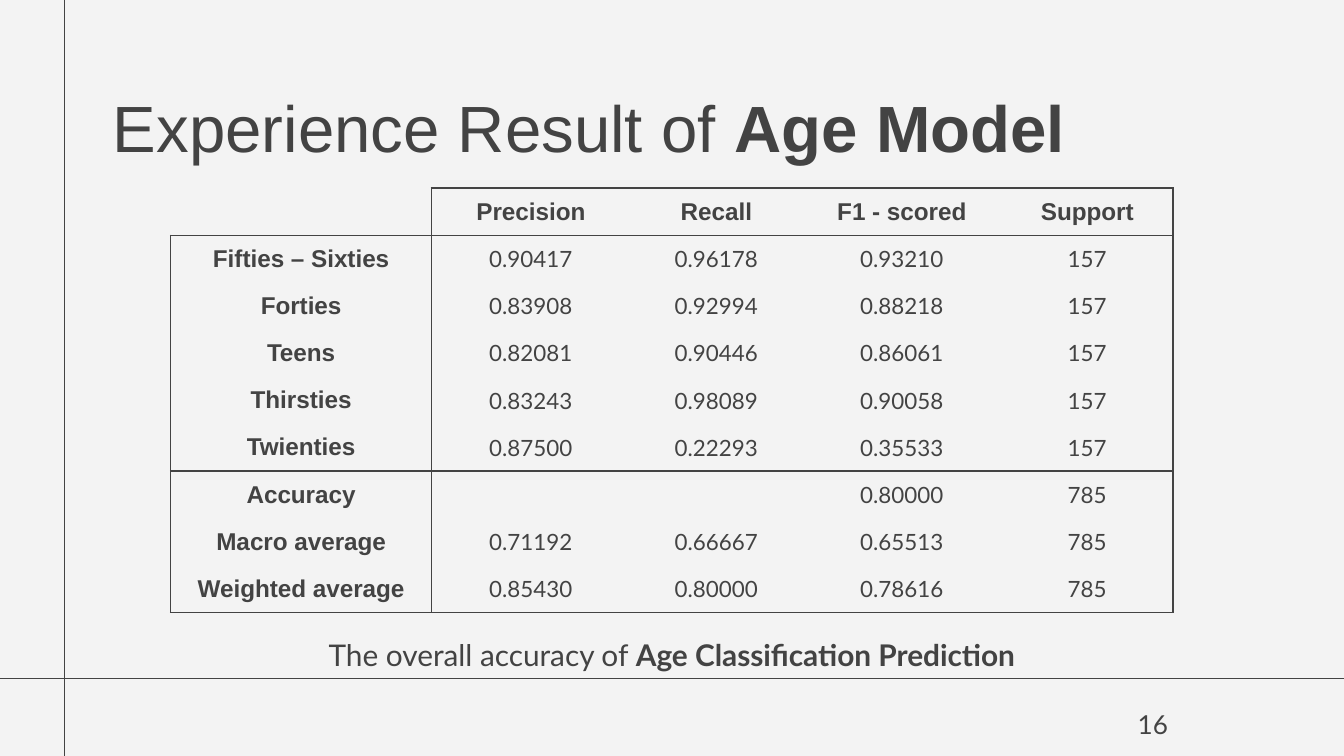
from dataclasses import dataclass

from lxml import etree
from pptx import Presentation
from pptx import util as u
from pptx.dml.color import RGBColor
from pptx.enum import shapes, text
from pptx.oxml.ns import qn


@dataclass(frozen=True)
class Theme:
    ink: str = "434343"
    paper: str = "F3F3F3"
    head: str = "Arial"
    body: str = "Lato"
    title: int = 35
    note: int = 16
    page: int = 14
    label: int = 13
    value: int = 12
    rule: float = 0.75
    edge: int = 1


T = Theme()
LEFT, MID, RIGHT = (text.PP_ALIGN.LEFT, text.PP_ALIGN.CENTER,
                    text.PP_ALIGN.RIGHT)

ROWS = [
    ("", "Precision", "Recall", "F1 - scored", "Support"),
    ("Fifties – Sixties", "0.90417", "0.96178", "0.93210", "157"),
    ("Forties", "0.83908", "0.92994", "0.88218", "157"),
    ("Teens", "0.82081", "0.90446", "0.86061", "157"),
    ("Thirsties", "0.83243", "0.98089", "0.90058", "157"),
    ("Twienties", "0.87500", "0.22293", "0.35533", "157"),
    ("Accuracy", "", "", "0.80000", "785"),
    ("Macro average", "0.71192", "0.66667", "0.65513", "785"),
    ("Weighted average", "0.85430", "0.80000", "0.78616", "785"),
]
WIDTHS = [1.94] + [1.38] * 4
HIGH = 3.16 / len(ROWS)
BREAKS = (1, 6, 9)  # row edges ruled across the full width


def assign(obj, **props):
    for name, val in props.items():
        setattr(obj, name, val)


def write(para, runs, face, size, align):
    """Fill a paragraph with (words, bold) runs."""
    para.alignment = align
    for words, bold in runs:
        run = para.add_run()
        run.text = words
        assign(run.font, name=face, size=u.Pt(size), bold=bold)
        run.font.color.rgb = RGBColor.from_string(T.ink)


def frame(shape):
    pad = u.Inches(0.1)
    assign(shape.text_frame, word_wrap=True, margin_left=pad,
           margin_right=pad, margin_top=pad, margin_bottom=pad,
           auto_size=text.MSO_AUTO_SIZE.NONE,
           vertical_anchor=text.MSO_ANCHOR.TOP)
    return shape.text_frame.paragraphs[0]


def add_title(slide, runs, left, top, width, height):
    shape = slide.shapes.title
    assign(shape, left=u.Inches(left), top=u.Inches(top),
           width=u.Inches(width), height=u.Inches(height))
    write(frame(shape), runs, T.head, T.title, LEFT)


def add_note(slide, runs, box, size, align):
    shape = slide.shapes.add_textbox(*map(u.Inches, box))
    write(frame(shape), runs, T.body, size, align)


def add_rule(slide, *ends):
    line = slide.shapes.add_connector(
        shapes.MSO_CONNECTOR.STRAIGHT, *map(u.Inches, ends))
    line.line.color.rgb = RGBColor.from_string(T.ink)
    line.line.width = u.Pt(T.rule)
    etree.SubElement(line._element.spPr, qn("a:effectLst"))


def set_edges(cell, sides):
    """Rule the named sides of a cell and clear the others."""
    props = cell._tc.get_or_add_tcPr()
    for spot, side in enumerate("LRTB"):
        line = etree.Element(qn(f"a:ln{side}"), w=str(u.Pt(T.edge)))
        if side in sides:
            fill = etree.SubElement(line, qn("a:solidFill"))
            etree.SubElement(fill, qn("a:srgbClr"), val=T.ink)
        else:
            etree.SubElement(line, qn("a:noFill"))
        props.insert(spot, line)


def find_edges(row, col):
    """Work out which sides are ruled; the corner has no outer edge."""
    corner = row == col == 0
    tests = {
        "L": col == 1 or (col == 0 and not corner),
        "R": col in (0, len(WIDTHS) - 1),
        "T": row in BREAKS or (row == 0 and not corner),
        "B": row + 1 in BREAKS,
    }
    return {side for side, on in tests.items() if on}


def add_scores(slide, left, top):
    size = sum(WIDTHS), HIGH * len(ROWS)
    table = slide.shapes.add_table(
        len(ROWS), len(WIDTHS), *map(u.Inches, (left, top, *size))).table
    assign(table, first_row=False, horz_banding=False)
    for col, width in zip(table.columns, WIDTHS):
        col.width = u.Inches(width)
    for r, row in enumerate(ROWS):
        table.rows[r].height = u.Inches(HIGH)
        for c, words in enumerate(row):
            cell = table.cell(r, c)
            assign(cell, vertical_anchor=text.MSO_ANCHOR.MIDDLE,
                   margin_left=u.Inches(0.2 if c else 0.1),
                   margin_right=u.Inches(0.1),
                   margin_top=u.Inches(0.07), margin_bottom=u.Inches(0.07))
            cell.fill.background()
            set_edges(cell, find_edges(r, c))
            para = cell.text_frame.paragraphs[0]
            head = r == 0 or c == 0
            if words:
                write(para, [(words, head)], T.head if head else T.body,
                      T.label if head else T.value, MID)
            else:  # small type keeps an empty row at its height
                etree.SubElement(para._p, qn("a:endParaRPr"),
                                 sz=str(T.value * 100))


def main():
    deck = Presentation()
    wide = u.Inches(10)
    assign(deck, slide_width=wide, slide_height=wide * 9 // 16)
    slide = deck.slides.add_slide(deck.slide_layouts[5])
    back = slide.background.fill
    back.solid()
    back.fore_color.rgb = RGBColor.from_string(T.paper)

    # Page rules
    add_rule(slide, 10.03, 5.05, -0.03, 5.05)
    add_rule(slide, 0.48, 5.64, 0.48, -0.02)

    # Title and score table
    add_title(slide, [("Experience Result of ", False), ("Age Model", True)],
              0.74, 0.55, 8.81, 0.53)
    add_scores(slide, 1.27, 1.4)

    # Page number and caption
    add_note(slide, [("16", False)], (8.19, 5.17, 0.6, 0.43), T.page, RIGHT)
    add_note(slide, [("The overall accuracy of ", False),
                     ("Age Classification Prediction", True)],
             (1.24, 4.64, 7.52, 0.43), T.note, MID)

    deck.save("out.pptx")


if __name__ == "__main__":
    main()
